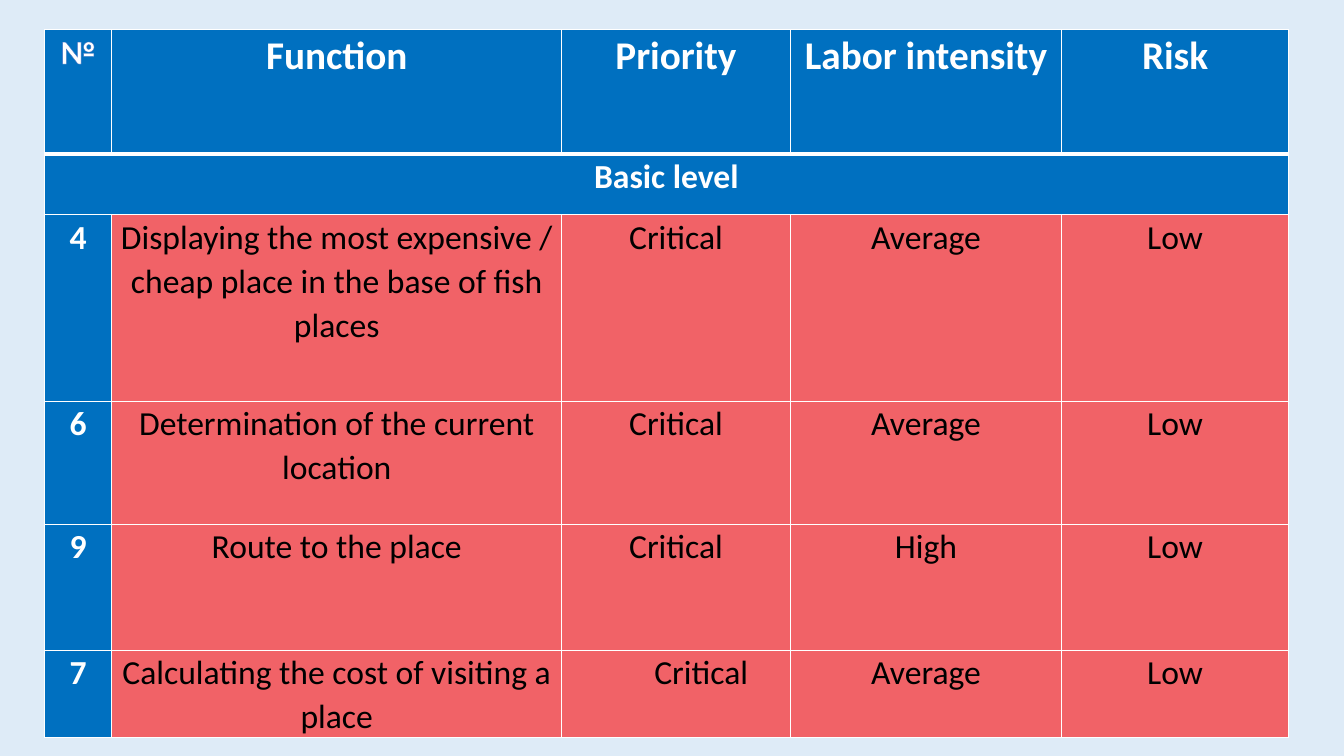
from lxml import etree
from pptx import Presentation
from pptx.dml.color import RGBColor
from pptx.enum.text import PP_ALIGN
from pptx.oxml.ns import qn
from pptx.util import Inches, Pt

CENTER = PP_ALIGN.CENTER
WHITE, BLACK, BLUE, RED = "FFFFFF", "000000", "0070C0", "FF0000"
BACKGROUND, OUTLINE = "DEEBF7", "4472C4"
COLUMN_WIDTHS = [0.67, 4.46, 2.27, 2.69, 2.25]
ROW_HEIGHTS = [1.24, 0.6, 1.85, 1.22, 1.25, 0.86]
HEADINGS = ["№", "Function", "Priority", "Labor intensity", "Risk"]
LEVEL = "Basic level"
FUNCTIONS = [
    ["4", "Displaying the most expensive / cheap place in the base of fish places",
     "Critical", "Average", "Low"],
    ["6", "Determination of the current location", "Critical", "Average", "Low"],
    ["9", "Route to the place", "Critical", "High", "Low"],
    ["7", "Calculating the cost of visiting a place", "Critical", "Average", "Low"],
]


def color(value):
    return RGBColor.from_string(value)


def make_line(tag, value, width):
    line = etree.Element(qn(tag), w=str(int(Pt(width))))
    fill = etree.SubElement(line, qn("a:solidFill"))
    etree.SubElement(fill, qn("a:srgbClr"), val=value)
    return line


def fill_cell(cell, value, opacity=100):
    cell.fill.solid()
    cell.fill.fore_color.rgb = color(value)
    if opacity < 100:
        shade = cell._tc.tcPr.find(".//" + qn("a:srgbClr"))
        etree.SubElement(shade, qn("a:alpha"), val=str(opacity * 1000))


def border_cell(cell, top, bottom):
    sides = [("a:lnL", 1), ("a:lnR", 1), ("a:lnT", top), ("a:lnB", bottom)]
    for index, (tag, width) in enumerate(sides):
        cell._tc.tcPr.insert(index, make_line(tag, WHITE, width))


def write_cell(cell, text, size, value, bold):
    cell.margin_left = cell.margin_right = Inches(0.07)
    cell.margin_top = cell.margin_bottom = 0
    para = cell.text_frame.paragraphs[0]
    para.alignment = CENTER
    para.line_spacing = 1.07
    span = para.add_run()
    span.text = text
    for font in (para.font, span.font):
        font.name = "Calibri"
        font.size = Pt(size)
        font.bold = bold
        font.color.rgb = color(value)
    return para


def add_function_table(page, left, top):
    rows = [HEADINGS, [LEVEL] + [""] * 4] + FUNCTIONS
    frame = page.shapes.add_table(
        len(rows), len(COLUMN_WIDTHS), Inches(left), Inches(top),
        Inches(sum(COLUMN_WIDTHS)), Inches(sum(ROW_HEIGHTS)))
    table = frame.table
    table.horz_banding = False
    for column, width in zip(table.columns, COLUMN_WIDTHS):
        column.width = Inches(width)
    for row, height in zip(table.rows, ROW_HEIGHTS):
        row.height = Inches(height)
    table.cell(1, 0).merge(table.cell(1, len(COLUMN_WIDTHS) - 1))

    for r, texts in enumerate(rows):
        for c, text in enumerate(texts):
            cell = table.cell(r, c)
            heading = r < 2 or c == 0
            if heading:
                fill_cell(cell, BLUE)
            else:
                fill_cell(cell, RED, 58)
            border_cell(cell, 3 if r == 1 else 1, 3 if r == 0 else 1)
            if text:
                size = 28 if r == 0 and c > 0 else 24
                write_cell(cell, text, size, WHITE if heading else BLACK, heading)

    number_span = table.cell(0, 0).text_frame.paragraphs[0].runs[0]
    number_span._r.get_or_add_rPr().insert(0, make_line("a:ln", OUTLINE, 0.8))
    last_priority = table.cell(len(rows) - 1, 2).text_frame.paragraphs[0]
    indent = last_priority._p.get_or_add_pPr()
    indent.set("marL", str(int(Inches(0.5))))
    indent.set("indent", "0")


def main():
    deck = Presentation()
    deck.slide_width = Inches(13.33)
    deck.slide_height = Inches(7.5)
    page = deck.slides.add_slide(deck.slide_layouts[6])
    page.background.fill.solid()
    page.background.fill.fore_color.rgb = color(BACKGROUND)
    add_function_table(page, 0.44, 0.29)
    deck.save("out.pptx")


if __name__ == "__main__":
    main()
